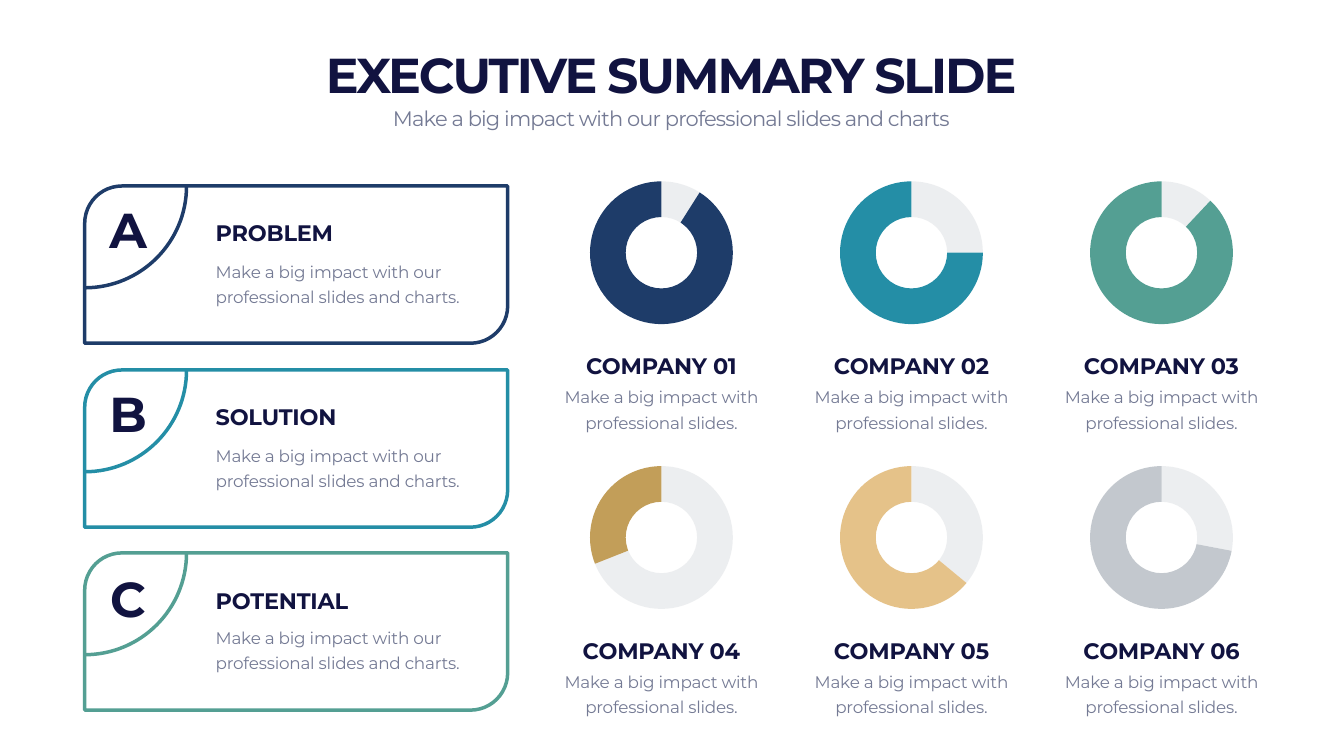
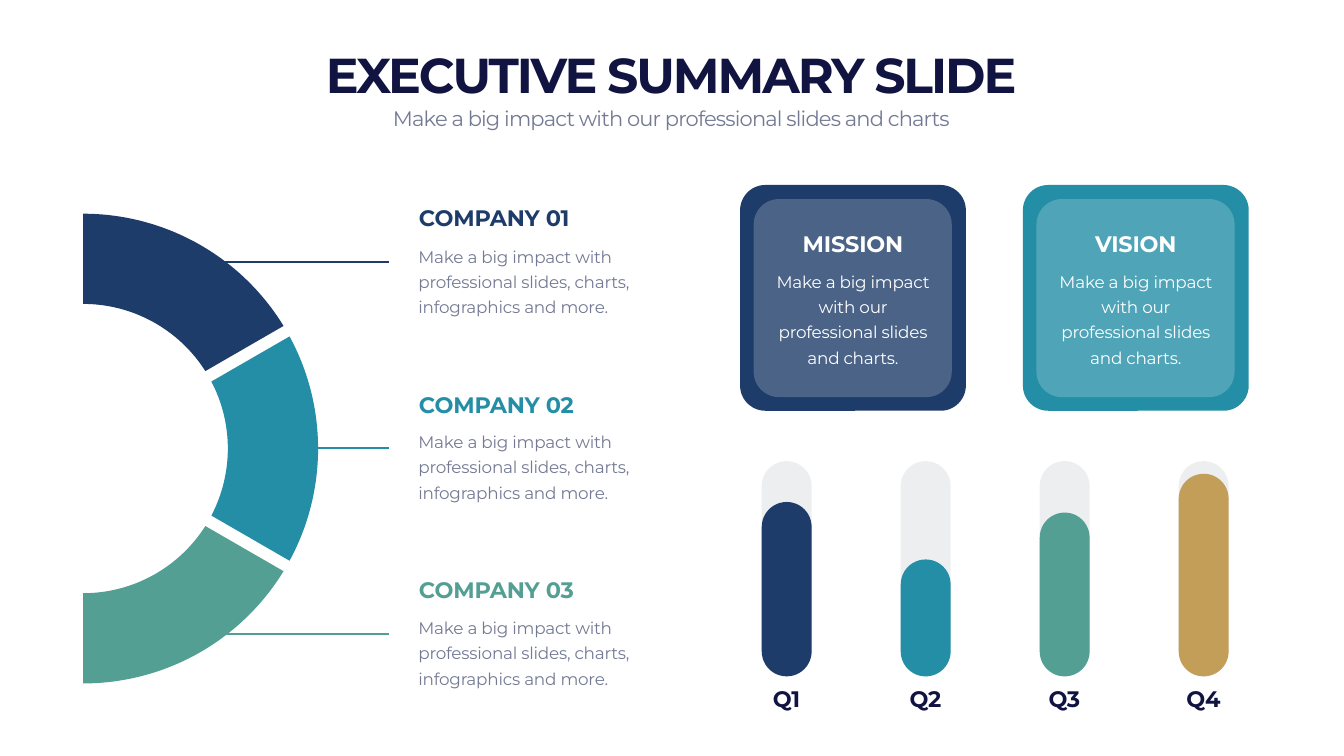
from math import asin, cos, degrees, radians, sin, tan

from lxml import etree
from pptx import Presentation
from pptx import util as u
from pptx.chart.data import CategoryChartData
from pptx.dml.color import RGBColor
from pptx.enum import chart as charts, shapes, text
from pptx.oxml.ns import qn

NAVY, TEAL, GREEN, GOLD, SAND, SILVER = "1E3C69", "248EA6", "549F93", "C29E59", "E5C289", "C3C8CE"
INK, GREY, WHITE = "111340", "747A94", "FFFFFF"
LEFT, CENTER = text.PP_ALIGN.LEFT, text.PP_ALIGN.CENTER
TOP, MIDDLE, BOTTOM = text.MSO_ANCHOR.TOP, text.MSO_ANCHOR.MIDDLE, text.MSO_ANCHOR.BOTTOM
LOOKS = {
    "title": {"size": 70, "bold": True, "spacing": -290, "leading": 94, "anchor": BOTTOM},
    "subtitle": {"size": 30, "bold": False, "spacing": -120, "leading": None, "anchor": TOP},
    "letter": {"size": 70, "bold": True, "spacing": -290, "leading": 94, "anchor": MIDDLE},
    "heading": {"size": 32, "bold": True, "spacing": -30, "leading": None, "anchor": BOTTOM},
    "label": {"size": 32, "bold": True, "spacing": -30, "leading": None, "anchor": TOP},
    "body": {"size": 24, "bold": False, "spacing": -30, "leading": 36, "anchor": TOP},
}


def paint(fill, color, opacity=100):
    fill.solid()
    fill.fore_color.rgb = RGBColor.from_string(color)
    if opacity < 100:
        tint = fill._xPr.find(".//" + qn("a:srgbClr"))
        etree.SubElement(tint, qn("a:alpha")).set("val", str(opacity * 1000))


def write(slide, place, words, look, color, align=CENTER):
    left, top, width, height = map(u.Inches, place)
    style = LOOKS[look]
    box = slide.shapes.title if look == "title" else slide.shapes.add_textbox(left, top, width, height)
    frame = box.text_frame
    paragraph = frame.paragraphs[0]
    run = paragraph.add_run()
    run.text = words
    formats = [
        (box, {"left": left, "top": top, "width": width, "height": height}),
        (frame, {"word_wrap": True, "vertical_anchor": style["anchor"],
                 "auto_size": text.MSO_AUTO_SIZE.SHAPE_TO_FIT_TEXT}),
        (paragraph, {"alignment": align,
                     "line_spacing": u.Pt(style["leading"]) if style["leading"] else None}),
        (run.font, {"name": "Montserrat", "size": u.Pt(style["size"]), "bold": style["bold"]}),
    ]
    for target, values in formats:
        for name, value in values.items():
            setattr(target, name, value)
    paint(run.font.fill, color)
    run._r.get_or_add_rPr().set("spc", str(style["spacing"]))


deck = Presentation()
deck.slide_width, deck.slide_height = u.Inches(26.66), u.Inches(15)
overview, details = [deck.slides.add_slide(deck.slide_layouts[5]) for _ in range(2)]

pitch = "Make a big impact with our professional slides and charts."
cards = [("A", "PROBLEM", NAVY, 3.69, 3.78, 4.3, 5.04),
         ("B", "SOLUTION", TEAL, 7.34, 7.43, 7.94, 8.69),
         ("C", "POTENTIAL", GREEN, 10.97, 11.11, 11.59, 12.31)]

curved = [(overview, 1.68, top, [(2.02, 90, 0)], color) for _, _, color, top, *_ in cards]
outer, inner, half_gap = 4.66, 2.87, 0.12
out_edge, in_edge = [degrees(asin(half_gap / radius)) for radius in (outer, inner)]
sectors = [
    ([(outer, -30 + out_edge, 0), (outer, 0, 30 - out_edge),
      (inner, 30 - in_edge, 0), (inner, 0, -30 + in_edge)], TEAL),
    ([(outer, -90, -30 - out_edge), (inner, -30 - in_edge, -90)], NAVY),
    ([(outer, 30 + out_edge, 90), (inner, 90, 30 + in_edge)], GREEN),
]
curved += [(details, 1.65, 8.9, arcs, color) for arcs, color in sectors]

for slide, center_x, center_y, arcs, color in curved:
    points, kinds = [], []
    for radius, start, end in arcs:
        start, end = radians(start), radians(end)
        pull = 4 / 3 * tan((end - start) / 4)
        corners = [(cos(start), sin(start)),
                   (cos(start) - pull * sin(start), sin(start) + pull * cos(start)),
                   (cos(end) + pull * sin(end), sin(end) - pull * cos(end)),
                   (cos(end), sin(end))]
        arc = [(u.Inches(center_x + radius * x), u.Inches(center_y + radius * y)) for x, y in corners]
        if points and points[-1] != arc[0]:
            kinds.append("line")
            points.append(arc[0])
        points += arc[1:] if points else arc
        kinds.append("curve")
    builder = slide.shapes.build_freeform(*points[0], scale=1.0)
    builder.add_line_segments(points[1:], close=slide is details)
    piece = builder.convert_to_shape()
    steps = iter(piece._element.findall(".//" + qn("a:lnTo")))
    for kind in kinds:
        step = next(steps)
        if kind == "curve":
            step.addprevious(bend := etree.Element(qn("a:cubicBezTo")))
            for part in (step, next(steps), next(steps)):
                bend.append(part[0])
                part.getparent().remove(part)
    piece.shadow.inherit = False
    if slide is details:
        paint(piece.fill, color)
        piece.line.fill.background()
    else:
        piece.fill.background()
        paint(piece.line.fill, color)
        piece.line.width = u.Pt(5)

for letter, heading, color, top, letter_top, heading_top, body_top in cards:
    card = overview.shapes.add_shape(shapes.MSO_SHAPE.ROUND_2_DIAG_RECTANGLE, u.Inches(1.68),
                                     u.Inches(top), u.Inches(8.39), u.Inches(3.12))
    card.adjustments[0], card.adjustments[1] = 0.237, 0
    card.shadow.inherit = False
    card.fill.background()
    paint(card.line.fill, color)
    card.line.width = u.Pt(5)
    write(overview, (1.97, letter_top, 1.14, 1.38), letter, "letter", INK)
    write(overview, (4.18, heading_top, 5.21, 0.64), heading, "heading", INK, LEFT)
    write(overview, (4.18, body_top, 5.21, 1.07), pitch, "body", GREY, LEFT)

rings = [(9, NAVY), (25, TEAL), (12, GREEN), (69, GOLD), (36, SAND), (28, SILVER)]
for index, (rest, color) in enumerate(rings):
    row, column = divmod(index, 3)
    left, top = 11.1 + 4.96 * column, 3.46 + 5.65 * row
    shares = CategoryChartData()
    shares.categories = ["1", "2"]
    shares.add_series("Series 1", (rest, 100 - rest))
    ring = overview.shapes.add_chart(charts.XL_CHART_TYPE.DOUGHNUT, u.Inches(left + 0.39),
                                     u.Inches(top), u.Inches(3.26), u.Inches(3.11), shares).chart
    ring.has_legend = ring.has_title = False
    ring.font.name, ring.font.size = "Calibri", u.Pt(10)
    paint(ring.font.fill, GREY)
    plot = ring.plots[0]
    plot.vary_by_categories = True
    plot._element.find(qn("c:holeSize")).set("val", "43")
    for position, (shade, opacity) in enumerate([(SILVER, 30), (color, 100)]):
        look = plot.series[0].points[position].format
        paint(look.fill, shade, opacity)
        look.line.fill.background()
    write(overview, (left, top + 3.47, 4.04, 0.64), f"COMPANY 0{index + 1}", "heading", INK)
    write(overview, (left, top + 4.07, 4.04, 1.07),
          "Make a big impact with professional slides.", "body", GREY)

companies = [(NAVY, 5.2, 3.27, 4, 4.74), (TEAL, 8.89, 5.11, 7.7, 8.42), (GREEN, 12.58, 3.27, 11.38, 12.11)]
for number, (color, level, touch, heading_top, body_top) in enumerate(companies, 1):
    leader = details.shapes.add_connector(shapes.MSO_CONNECTOR.STRAIGHT, u.Inches(7.72),
                                          u.Inches(level), u.Inches(touch), u.Inches(level))
    paint(leader.line.fill, color)
    leader.line.width = u.Pt(3)
    etree.SubElement(leader._element.spPr, qn("a:effectLst"))
    write(details, (8.21, heading_top, 4.61, 0.64), f"COMPANY 0{number}", "heading", color, LEFT)
    write(details, (8.2, body_top, 4.61, 1.57),
          "Make a big impact with professional slides, charts, infographics and more.",
          "body", GREY, LEFT)

panels = []
quarters = [(9.96, NAVY), (11.1, TEAL), (10.17, GREEN), (9.4, GOLD)]
for index, (level, color) in enumerate(quarters):
    left, base = 15.11 + 2.757 * index, 13.42
    panels += [(left, 9.15, 0.99, base - 9.15, 0.5, SILVER, 30),
               (left, level, 0.99, base - level, 0.5, color, 100)]
    write(details, (left - 0.12, 13.55, 1.22, 0.64), f"Q{index + 1}", "label", INK)

statements = [(14.68, "MISSION", NAVY), (20.29, "VISION", TEAL)]
for left, heading, color in statements:
    panels += [(left, 3.67, 4.48, 4.48, 0.112, color, 100),
               (left + 0.27, 3.95, 3.93, 3.93, 0.128, WHITE, 20)]

for left, top, width, height, rounding, color, opacity in panels:
    panel = details.shapes.add_shape(shapes.MSO_SHAPE.ROUNDED_RECTANGLE, u.Inches(left),
                                     u.Inches(top), u.Inches(width), u.Inches(height))
    panel.adjustments[0] = rounding
    panel.shadow.inherit = False
    paint(panel.fill, color, opacity)
    panel.line.fill.background()

for left, heading, color in statements:
    write(details, (left + 0.55, 4.5, 3.38, 0.64), heading, "heading", WHITE)
    write(details, (left + 0.55, 5.24, 3.38, 2.08), pitch, "body", WHITE)

for slide in (overview, details):
    write(slide, (1.65, 0.73, 23.33, 1.38), "EXECUTIVE SUMMARY SLIDE", "title", INK)
    write(slide, (1.65, 2.05, 23.33, 0.61),
          "Make a big impact with our professional slides and charts", "subtitle", GREY)

deck.save("out.pptx")
